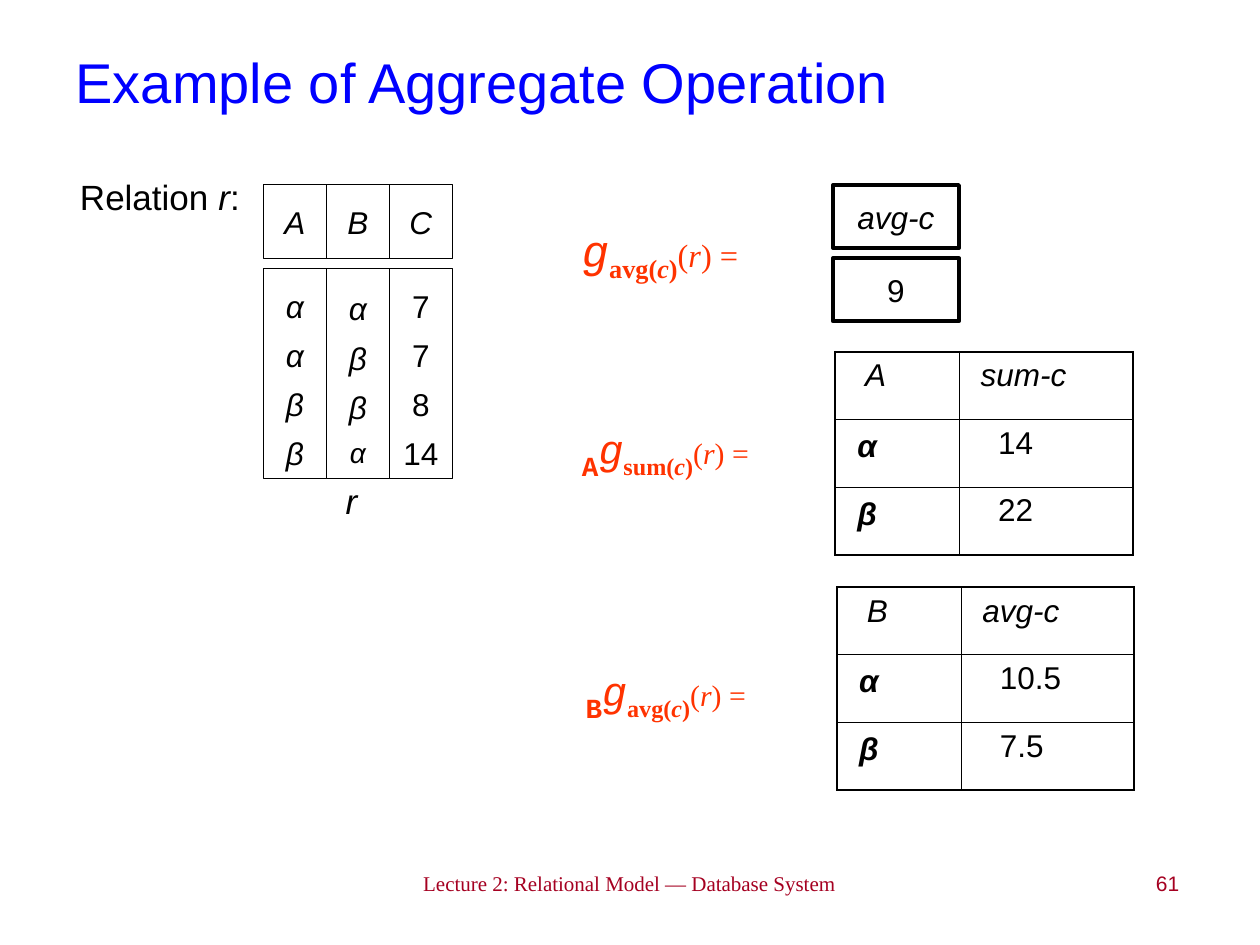
from dataclasses import dataclass

from lxml import etree
from pptx import Presentation
from pptx.dml.color import RGBColor
from pptx.enum.shapes import MSO_SHAPE
from pptx.enum.text import MSO_ANCHOR, PP_ALIGN
from pptx.oxml.ns import qn
from pptx.util import Pt

RECT = MSO_SHAPE.RECTANGLE
MIDDLE = MSO_ANCHOR.MIDDLE
LEFT, CENTER, RIGHT = PP_ALIGN.LEFT, PP_ALIGN.CENTER, PP_ALIGN.RIGHT
ARIAL, TIMES, MONO = "Arial", "Times New Roman", "Courier New"
COLORS = {
    "black": "000000",
    "white": "FFFFFF",
    "blue": "0000FF",
    "wine": "A50021",
    "red": "FF3300",
}
HANG = 27
COL = 36
THICK, THIN = 1.08, 0.45


@dataclass
class Box:
    left: float
    top: float
    width: float
    height: float


@dataclass
class Field:
    name: str
    values: list[str]
    ital: bool = True
    last: float = 18


@dataclass
class Formula:
    box: Box
    group: str
    func: str
    big: float
    small: float


@dataclass
class Result:
    box: Box
    heads: list[str]
    rows: list[list[str]]


def color(name: str) -> RGBColor:
    return RGBColor.from_string(COLORS[name])


def write(par, text: str, *, size=18, font=ARIAL, tint="black",
          bold=False, ital=False, base=0) -> None:
    run = par.add_run()
    run.text = text
    run.font.size = Pt(size)
    run.font.name = font
    run.font.bold = bold
    run.font.italic = ital
    run.font.color.rgb = color(tint)
    if base:
        run._r.get_or_add_rPr().set("baseline", str(base * 1000))


def add_text(slide, box: Box, align=LEFT, hang=False, before=5.0):
    shape = slide.shapes.add_textbox(
        Pt(box.left), Pt(box.top), Pt(box.width), Pt(box.height))
    shape.text_frame.word_wrap = True
    par = shape.text_frame.paragraphs[0]
    par.alignment = align
    if hang:
        par.line_spacing = 0.9
        par.space_before = Pt(before)
        props = par._p.get_or_add_pPr()
        props.set("marL", str(Pt(HANG)))
        props.set("indent", str(-Pt(HANG)))
    return par


def add_box(slide, box: Box, lines: list[str], ital: bool,
            weight=0.75, space=1.0, last=18.0) -> None:
    shape = slide.shapes.add_shape(
        RECT, Pt(box.left), Pt(box.top), Pt(box.width), Pt(box.height))
    shape.shadow.inherit = False
    shape.fill.solid()
    shape.fill.fore_color.rgb = color("white")
    shape.line.color.rgb = color("black")
    shape.line.width = Pt(weight)
    frame = shape.text_frame
    frame.word_wrap = False
    frame.vertical_anchor = MIDDLE
    for at, text in enumerate(lines):
        par = frame.add_paragraph() if at else frame.paragraphs[0]
        par.alignment = CENTER
        par.line_spacing = space
        write(par, text, ital=ital, size=last if at == len(lines) - 1 else 18)


def add_field(slide, left: float, field: Field) -> None:
    add_box(slide, Box(left, 105.6, COL, 42), [field.name], True)
    add_box(slide, Box(left, 153.5, COL, 120), field.values, field.ital,
            space=1.3, last=field.last)


def add_formula(slide, item: Formula) -> None:
    par = add_text(slide, item.box, hang=True, before=8.8)
    if item.group:
        write(par, item.group, size=27.2, font=MONO, tint="red", bold=True, base=-25)
    write(par, "g", size=item.big, font=MONO, tint="red", ital=True)
    for text, ital in ((item.func + "(", False), ("c", True), (")", False)):
        write(par, text, size=item.big, font=TIMES, tint="red",
              bold=True, ital=ital, base=-25)
    for text, ital in (("(", False), ("r", True), (") =", False)):
        write(par, text, size=item.small, font=TIMES, tint="red", ital=ital)


def set_edge(cell, side: str, weight: float) -> None:
    edge = etree.SubElement(cell._tc.get_or_add_tcPr(), qn("a:ln" + side))
    edge.set("w", str(Pt(weight)))
    fill = etree.SubElement(edge, qn("a:solidFill"))
    etree.SubElement(fill, qn("a:srgbClr")).set("val", COLORS["black"])


def add_result(slide, item: Result) -> None:
    box = item.box
    data = [item.heads] + item.rows
    rows = len(data)
    table = slide.shapes.add_table(
        rows, 2, Pt(box.left), Pt(box.top), Pt(box.width), Pt(box.height)).table
    table.first_row = False
    table.horz_banding = False
    for at, width in enumerate((71, box.width - 71)):
        table.columns[at].width = Pt(width)
    for y, texts in enumerate(data):
        table.rows[y].height = Pt(box.height / rows)
        for x, text in enumerate(texts):
            cell = table.cell(y, x)
            edges = {"L": x == 0, "R": x == 1, "T": y == 0, "B": y == rows - 1}
            for side, outer in edges.items():
                set_edge(cell, side, THICK if outer else THIN)
            cell.fill.background()
            key = y > 0 and x == 0
            pads = (17.2, 12.2) if y == 0 else (12.8, 22.2)
            cell.margin_left = Pt(pads[x])
            cell.margin_top = Pt(5.4 if key else 3.6)
            par = cell.text_frame.paragraphs[0]
            par.space_before = Pt(4.5)
            write(par, text, bold=key, ital=y == 0 or key)


FIELDS = [
    Field("A", ["α", "α", "β", "β"]),
    Field("B", ["α", "β", "β", "α"], last=16),
    Field("C", ["7", "7", "8", "14"], ital=False),
]
FORMULAS = [
    Formula(Box(325.5, 123.8, 127.5, 44), "", "avg", 25.9, 18.5),
    Formula(Box(325.5, 235.4, 147, 44), "A", "sum", 23.8, 17),
    Formula(Box(327.6, 373.7, 146, 44), "B", "avg", 23.8, 17),
]
RESULTS = [
    Result(Box(477.2, 201, 170.2, 116), ["A", "sum-c"],
           [["α", "14"], ["β", "22"]]),
    Result(Box(478.2, 335.5, 170, 116), ["B", "avg-c"],
           [["α", "10.5"], ["β", "7.5"]]),
]


def main() -> None:
    deck = Presentation()
    deck.slide_width, deck.slide_height = Pt(720), Pt(540)
    slide = deck.slides.add_slide(deck.slide_layouts[5])

    title = slide.shapes.title
    title.left, title.top = Pt(36), Pt(1.5)
    title.width, title.height = Pt(648), Pt(90)
    title.text_frame.vertical_anchor = MIDDLE
    par = title.text_frame.paragraphs[0]
    par.alignment = LEFT
    write(par, "Example of Aggregate Operation", size=32, tint="blue")

    par = add_text(slide, Box(166.3, 494, 390, 32), CENTER)
    write(par, "Lecture 2: Relational Model — Database System ",
          size=12, font=TIMES, tint="wine")
    par = add_text(slide, Box(579, 494, 102, 32), RIGHT)
    write(par, "61", size=12, tint="wine")

    par = add_text(slide, Box(38.6, 99.4, 118, 32), hang=True)
    for text, ital in (("Relation", False), (" r", True), (":", False)):
        write(par, text, size=20, ital=ital)

    for at, field in enumerate(FIELDS):
        add_field(slide, 150.5 + at * COL, field)
    par = add_text(slide, Box(188.6, 273, 30, 32), CENTER, hang=True)
    write(par, "r ", size=20, ital=True)

    add_box(slide, Box(476, 105.8, 72, 36), ["avg-c"], True, weight=2.25)
    add_box(slide, Box(476, 147.6, 72, 36), ["9"], False, weight=2.25)
    for item in FORMULAS:
        add_formula(slide, item)
    for item in RESULTS:
        add_result(slide, item)
    deck.save("out.pptx")


if __name__ == "__main__":
    main()
